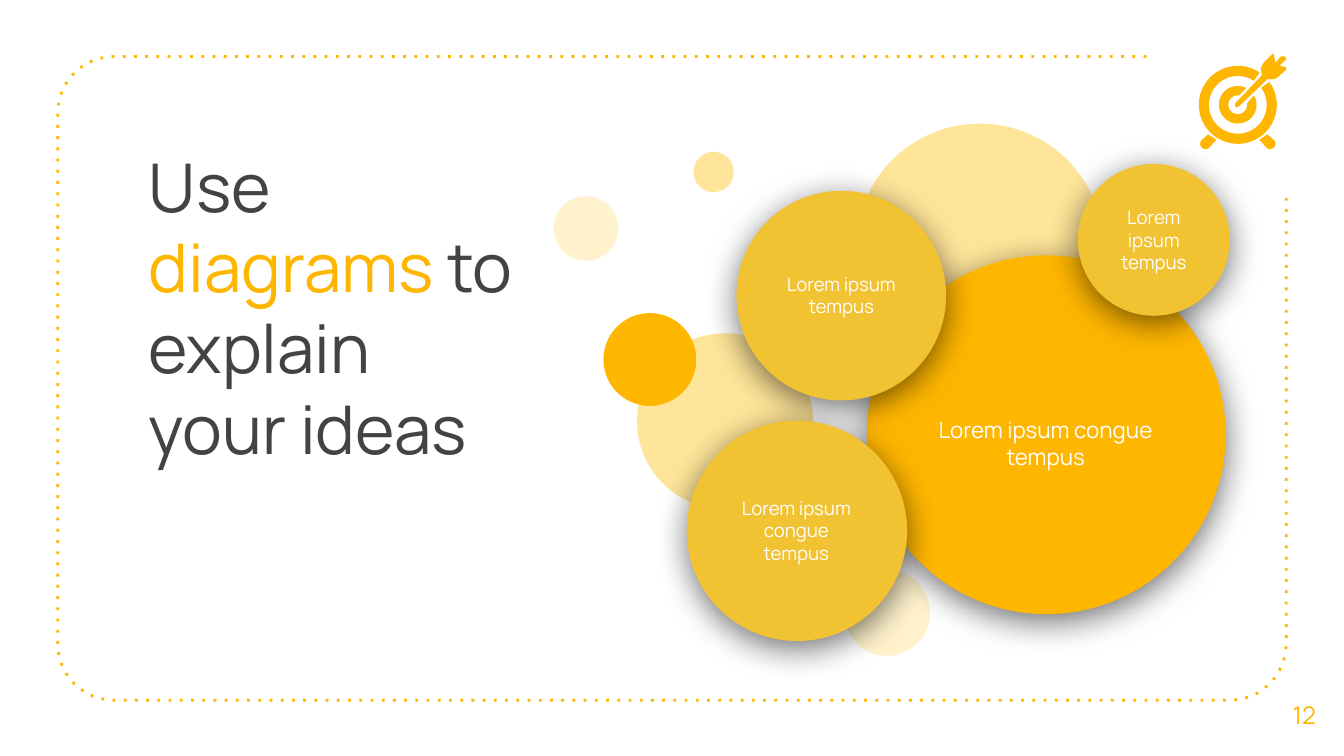
from dataclasses import dataclass
from math import cos, radians, sin

from lxml import etree
from pptx import Presentation
from pptx.dml.color import RGBColor
from pptx.enum import shapes, text
from pptx.oxml.ns import qn
from pptx.util import Inches, Pt

FONT = "Manrope"
COLORS = {
    "amber": "FFB600",
    "gold": "F1C232",
    "light": "FFE599",
    "pale": "FFF2CC",
    "gray": "434343",
    "white": "FFFFFF",
    "black": "000000",
}
Point = tuple[float, float]
Box = tuple[float, float, float, float]


@dataclass
class Bubble:
    left: float
    top: float
    size: float
    color: str


@dataclass
class Label:
    bubble: Bubble
    box: Box
    words: str
    size: int = 10


BUBBLES = [
    Bubble(6.28, 4.24, 0.64, "pale"),
    Bubble(4.12, 1.46, 0.48, "pale"),
    Bubble(4.74, 2.48, 1.31, "light"),
    Bubble(6.37, 0.92, 1.84, "light"),
    Bubble(4.49, 2.33, 0.69, "amber"),
    Bubble(5.16, 1.13, 0.3, "light"),
]
LABELS = [
    Label(Bubble(6.45, 1.9, 2.67, "amber"), (6.76, 2.66, 2.04, 1.27),
          "Lorem ipsum congue tempus", 12),
    Label(Bubble(5.48, 1.42, 1.56, "gold"), (5.73, 1.68, 1.06, 1.03),
          "Lorem ipsum tempus"),
    Label(Bubble(5.11, 3.13, 1.64, "gold"), (5.34, 3.43, 1.17, 1.03),
          "Lorem ipsum congue tempus"),
    Label(Bubble(8.02, 1.22, 1.13, "gold"), (8.2, 1.41, 0.77, 0.75),
          "Lorem ipsum tempus"),
]
TARGET = (9.21, 0.78)
ARROW = [
    (9.47, 0.4), (9.46, 0.41), (9.4, 0.47), (9.39, 0.49), (9.38, 0.51),
    (9.39, 0.56), (9.19, 0.77), (9.19, 0.79), (9.2, 0.8), (9.22, 0.79),
    (9.43, 0.59), (9.48, 0.59), (9.5, 0.58), (9.57, 0.52), (9.57, 0.5),
    (9.52, 0.49), (9.56, 0.45), (9.57, 0.44), (9.56, 0.42), (9.53, 0.42),
    (9.49, 0.47), (9.48, 0.42), (9.48, 0.41),
]


def rgb(color: str) -> RGBColor:
    """Look up a named colour."""
    return RGBColor.from_string(COLORS[color])


def arc(center: Point, radius: float, start: float, end: float, steps: int = 12) -> list[Point]:
    """Return points along an arc, with angles in degrees clockwise from the right."""
    angles = [radians(start + (end - start) * i / steps) for i in range(steps + 1)]
    return [(center[0] + radius * cos(a), center[1] + radius * sin(a)) for a in angles]


def add_path(s, points: list[Point], close: bool = True):
    """Draw a freeform through points given in inches."""
    vertices = [(Inches(x), Inches(y)) for x, y in points]
    builder = s.shapes.build_freeform(*vertices[0])
    builder.add_line_segments(vertices[1:], close=close)
    sp = builder.convert_to_shape()
    sp.shadow.inherit = False
    return sp


def add_icon_part(s, points: list[Point]) -> None:
    """Draw one solid piece of the target icon."""
    sp = add_path(s, points)
    sp.fill.solid()
    sp.fill.fore_color.rgb = rgb("amber")
    sp.line.fill.background()


def add_frame(s) -> None:
    """Draw the dotted frame that is open at its top right corner."""
    left, top, right, bottom, radius = 0.43, 0.42, 9.57, 5.21, 0.42
    points = [(8.53, top)]
    points += arc((left + radius, top + radius), radius, 270, 180)
    points += arc((left + radius, bottom - radius), radius, 180, 90)
    points += arc((right - radius, bottom - radius), radius, 90, 0)
    points.append((right, 1.46))
    sp = add_path(s, points, close=False)
    sp.fill.background()
    sp.line.color.rgb = rgb("amber")
    sp.line.width = Pt(1.5)
    etree.SubElement(sp._element.spPr.find(qn("a:ln")), qn("a:prstDash"), val="dot")


def add_bubble(s, bubble: Bubble, shadow: bool = False) -> None:
    """Draw a circle, with a soft shadow below it if asked."""
    size = Inches(bubble.size)
    sp = s.shapes.add_shape(shapes.MSO_SHAPE.OVAL, Inches(bubble.left), Inches(bubble.top), size, size)
    sp.fill.solid()
    sp.fill.fore_color.rgb = rgb(bubble.color)
    sp.line.fill.background()
    sp.shadow.inherit = False
    if shadow:
        effects = sp._element.spPr.find(qn("a:effectLst"))
        outer = etree.SubElement(effects, qn("a:outerShdw"), blurRad=str(Pt(18)), dist=str(Pt(4)),
                                 dir="5400000", algn="bl", rotWithShape="0")
        color = etree.SubElement(outer, qn("a:srgbClr"), val=COLORS["black"])
        etree.SubElement(color, qn("a:alpha"), val="55000")


def add_text(s, box: Box, runs: list[tuple[str, str]], size: int, centered: bool = True) -> None:
    """Write one paragraph of coloured runs in a wrapping text box."""
    tf = s.shapes.add_textbox(*map(Inches, box)).text_frame
    tf.word_wrap = True
    tf.margin_left = tf.margin_top = tf.margin_right = tf.margin_bottom = Inches(0.1)
    tf.vertical_anchor = text.MSO_ANCHOR.MIDDLE if centered else text.MSO_ANCHOR.TOP
    p = tf.paragraphs[0]
    p.alignment = text.PP_ALIGN.CENTER if centered else text.PP_ALIGN.LEFT
    p.font.name = FONT
    p.font.size = Pt(size)
    for words, color in runs:
        r = p.add_run()
        r.text = words
        r.font.color.rgb = rgb(color)


def add_target(s) -> None:
    """Draw the target icon with its rings, feet and arrow."""
    add_icon_part(s, arc(TARGET, 0.29, -36, 304, 60) + arc(TARGET, 0.215, 304, -36, 60))
    add_icon_part(s, arc(TARGET, 0.14, -30, 297, 40) + arc(TARGET, 0.07, 279, -9, 40))
    foot = [(8.99, 1), *arc((8.97, 1.07), 0.04, -130, -320), (9.05, 1.04)]
    add_icon_part(s, foot)
    add_icon_part(s, [(2 * TARGET[0] - x, y) for x, y in foot])
    add_icon_part(s, ARROW)


def main() -> None:
    """Build the slide and save it."""
    prs = Presentation()
    prs.slide_width = Inches(10)
    prs.slide_height = prs.slide_width * 9 // 16
    s = prs.slides.add_slide(prs.slide_layouts[6])
    add_frame(s)
    title = [("Use ", "gray"), ("diagrams", "amber"), (" to explain your ideas", "gray")]
    add_text(s, (1.01, 0.98, 2.97, 0.94), title, 36, centered=False)
    add_text(s, (9.41, 5.02, 0.59, 0.6), [("12", "amber")], 13)
    for bubble in BUBBLES:
        add_bubble(s, bubble)
    for label in LABELS:
        add_bubble(s, label.bubble, shadow=True)
        add_text(s, label.box, [(label.words, "white")], label.size)
    add_target(s)
    prs.save("out.pptx")


if __name__ == "__main__":
    main()
